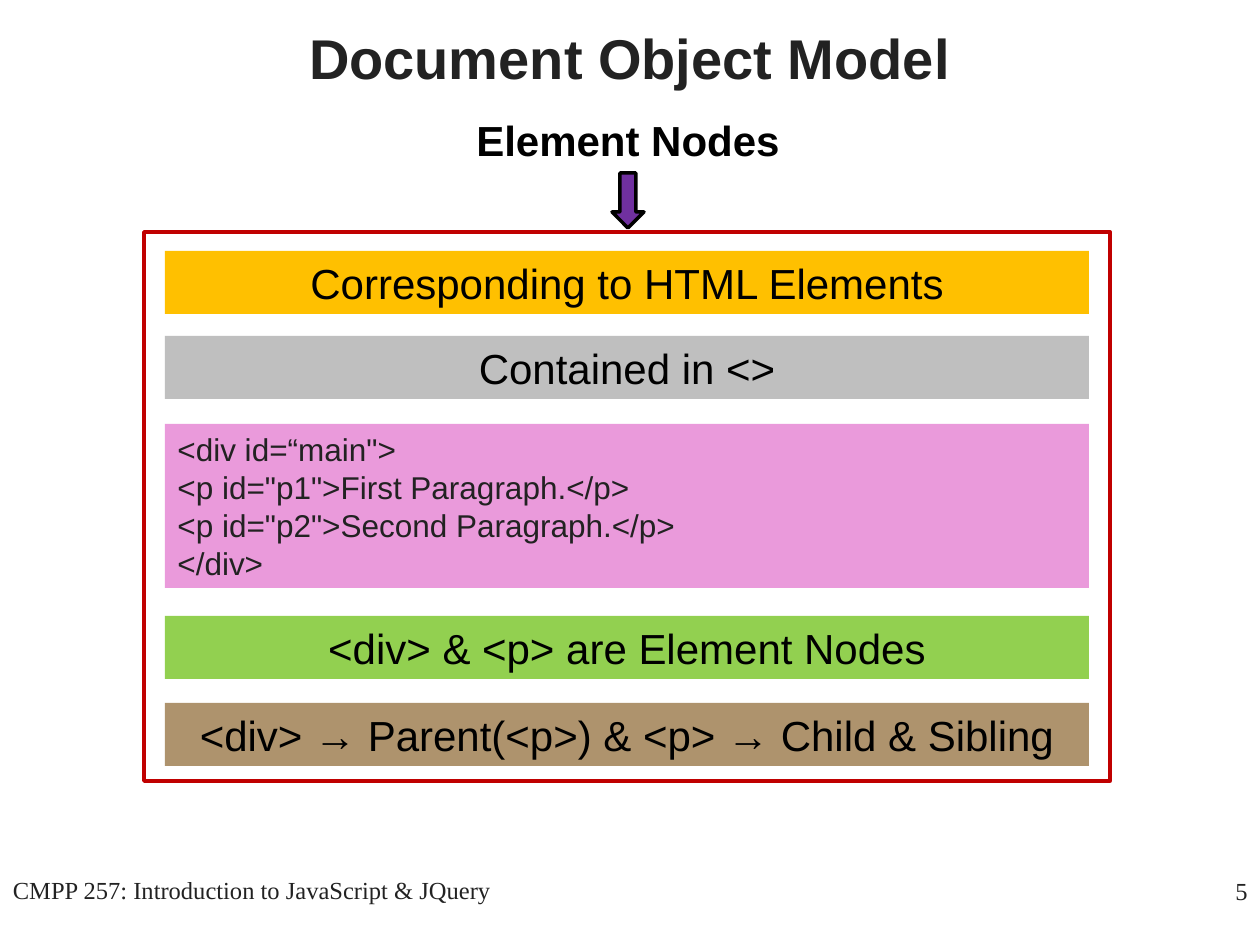
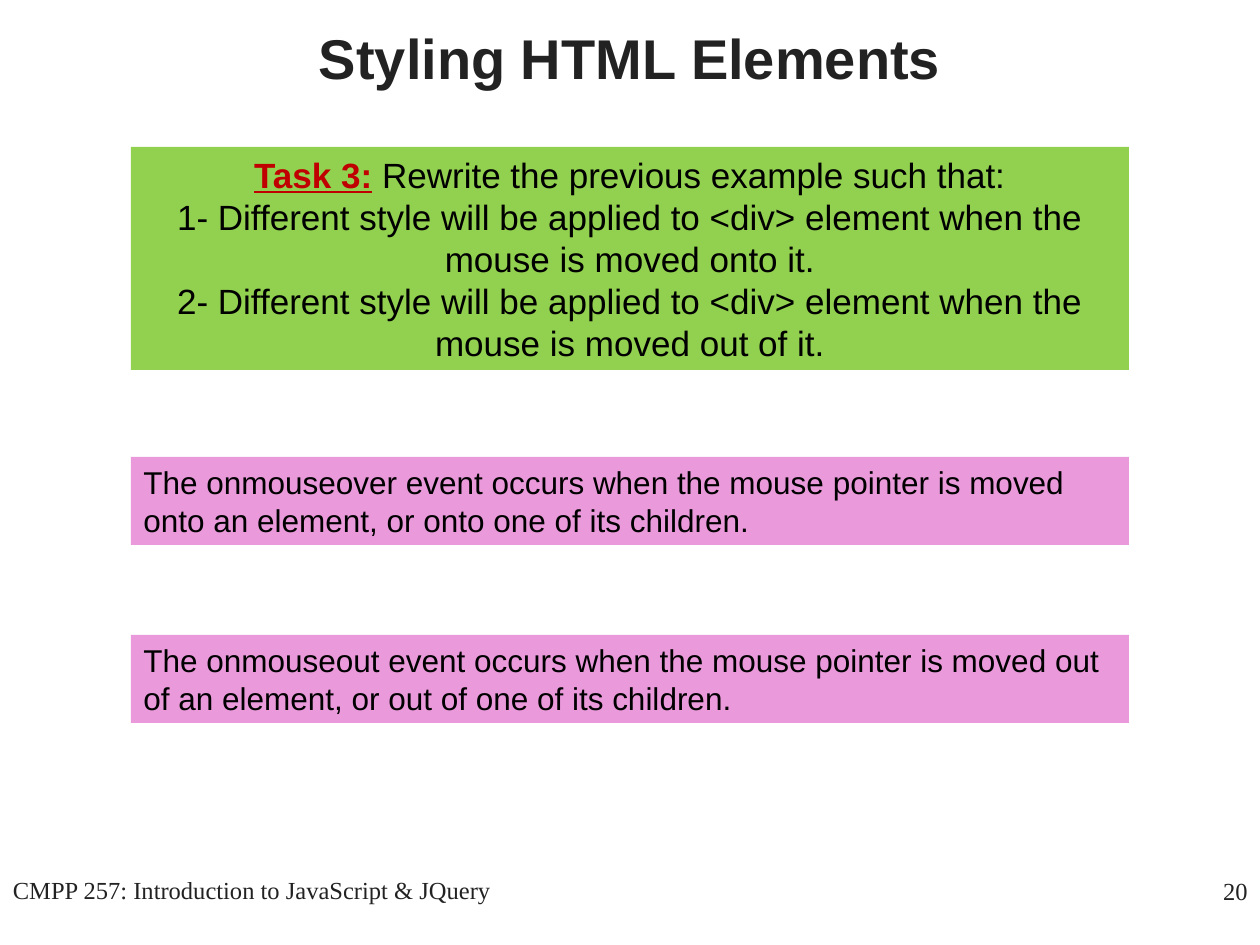
from dataclasses import dataclass
from lxml.etree import SubElement
from pptx import Presentation
from pptx.dml.color import RGBColor
from pptx.enum.shapes import MSO_SHAPE
from pptx.enum.text import MSO_ANCHOR, PP_ALIGN
from pptx.oxml.ns import qn
from pptx.util import Pt

PX = 914400 / 126


@dataclass(frozen=True)
class Theme:
    body_font: str = "Arial"
    footer_font: str = "Times New Roman"
    ink: str = "222222"
    black: str = "000000"
    red: str = "C00000"
    amber: str = "FFC000"
    grey: str = "BFBFBF"
    pink: str = "EA9ADB"
    green: str = "92D050"
    brown: str = "886128"
    purple: str = "7030A0"
    title_size: int = 32
    heading_size: int = 24
    task_size: int = 20
    detail_size: int = 18
    footer_size: int = 14
    line_width: int = 2


THEME = Theme()
TITLE_BOX = (0, -21, 1260, 157)
FOOTER_BOX = (0, 869, 504, 63)
NUMBER_BOX = (998, 870, 262, 63)
COURSE = "CMPP 257: Introduction to JavaScript & JQuery"


def to_emu(box):
    return [round(length * PX) for length in box]


def write_text(shape, paragraphs, size, font=THEME.body_font, color=THEME.black,
               bold=False, align=PP_ALIGN.LEFT, anchor=MSO_ANCHOR.TOP):
    """Fill a shape; a paragraph is a string or a list of (text, span overrides)."""
    frame = shape.text_frame
    frame.word_wrap = True
    frame.vertical_anchor = anchor
    for index, content in enumerate(paragraphs):
        para = frame.paragraphs[0] if index == 0 else frame.add_paragraph()
        para.alignment = align
        spans = [(content, {})] if isinstance(content, str) else content
        for text, style in spans:
            for number, line in enumerate(text.split("\n")):
                if number:
                    para.add_line_break()
                span = para.add_run()
                span.text = line
                span.font.name = font
                span.font.size = Pt(size)
                span.font.bold = style.get("bold", bold)
                span.font.underline = style.get("underline", False)
                span.font.color.rgb = RGBColor.from_string(style.get("color", color))


def add_label(page, box, text, **text_format):
    label = page.shapes.add_textbox(*to_emu(box))
    write_text(label, [text], **text_format)


def add_block(page, box, fill=None, line=None, kind=MSO_SHAPE.RECTANGLE, opacity=100):
    block = page.shapes.add_shape(kind, *to_emu(box))
    block.shadow.inherit = False
    if fill:
        block.fill.solid()
        block.fill.fore_color.rgb = RGBColor.from_string(fill)
        if opacity < 100:
            color = next(block.fill._xPr.iter(qn("a:srgbClr")))
            SubElement(color, qn("a:alpha"), val=str(opacity * 1000))
    else:
        block.fill.background()
    if line:
        block.line.color.rgb = RGBColor.from_string(line)
        block.line.width = Pt(THEME.line_width)
    else:
        block.line.fill.background()
    return block


def add_page(deck, title, number):
    page = deck.slides.add_slide(deck.slide_layouts[5])
    heading = page.shapes.title
    heading.left, heading.top, heading.width, heading.height = to_emu(TITLE_BOX)
    write_text(heading, [title], size=THEME.title_size, color=THEME.ink, bold=True,
               align=PP_ALIGN.CENTER, anchor=MSO_ANCHOR.MIDDLE)
    footer = dict(size=THEME.footer_size, font=THEME.footer_font, color=THEME.ink)
    add_label(page, FOOTER_BOX, COURSE, align=PP_ALIGN.CENTER, **footer)
    add_label(page, NUMBER_BOX, str(number), align=PP_ALIGN.RIGHT, **footer)
    return page


def add_node_facts(page, box):
    """Framed stack of facts, with a heading and an arrow above the frame."""
    left, top, width, height = box
    middle = left + width // 2 + 1
    add_label(page, (middle - 189, top - 124, 378, 63), "Element Nodes",
              size=THEME.heading_size, bold=True, align=PP_ALIGN.CENTER)
    add_block(page, (middle - 16, top - 59, 32, 55), THEME.purple, THEME.black,
              kind=MSO_SHAPE.DOWN_ARROW)

    bars = [
        (19, "Corresponding to HTML Elements", THEME.amber, 100),
        (104, "Contained in <>", THEME.grey, 100),
        (384, "<div> & <p> are Element Nodes", THEME.green, 100),
        (471, "<div> → Parent(<p>) & <p> → Child & Sibling", THEME.brown, 68),
    ]
    inset = 21
    bar_width = width - 2 * inset
    for offset, text, fill, opacity in bars:
        bar = add_block(page, (left + inset, top + offset, bar_width, 63), fill,
                        opacity=opacity)
        write_text(bar, [text], size=THEME.heading_size, align=PP_ALIGN.CENTER)

    code = add_block(page, (left + inset, top + 192, bar_width, 164), THEME.pink)
    write_text(code, ['<div id=“main">\n<p id="p1">First Paragraph.</p>\n'
                      '<p id="p2">Second Paragraph.</p>\n</div>'],
               size=THEME.detail_size, color=THEME.ink)
    add_block(page, box, line=THEME.red)


def add_task(page, box):
    task = add_block(page, box, THEME.green)
    write_text(task, [
        [("Task 3:", dict(bold=True, underline=True, color=THEME.red)),
         (" Rewrite the previous example such that:", {})],
        "1- Different style will be applied to <div> element when the mouse is moved onto it.",
        "2- Different style will be applied to <div> element when the mouse is moved out of it.",
    ], size=THEME.task_size, align=PP_ALIGN.CENTER)


def add_event_notes(page, box):
    left, top, width, height = box
    notes = [
        "The onmouseover event occurs when the mouse pointer is moved onto an element, "
        "or onto one of its children.",
        "The onmouseout event occurs when the mouse pointer is moved out of an element, "
        "or out of one of its children.",
    ]
    note_height = 88
    step = height - note_height
    for index, text in enumerate(notes):
        note = add_block(page, (left, top + index * step, width, note_height), THEME.pink)
        write_text(note, [text], size=THEME.detail_size)


def main():
    deck = Presentation()
    deck.slide_width, deck.slide_height = to_emu((1260, 945))
    add_node_facts(add_page(deck, "Document Object Model", 5), (144, 232, 966, 549))
    styling = add_page(deck, "Styling HTML Elements", 20)
    add_task(styling, (131, 147, 998, 223))
    add_event_notes(styling, (131, 457, 998, 266))
    deck.save("out.pptx")


if __name__ == "__main__":
    main()
